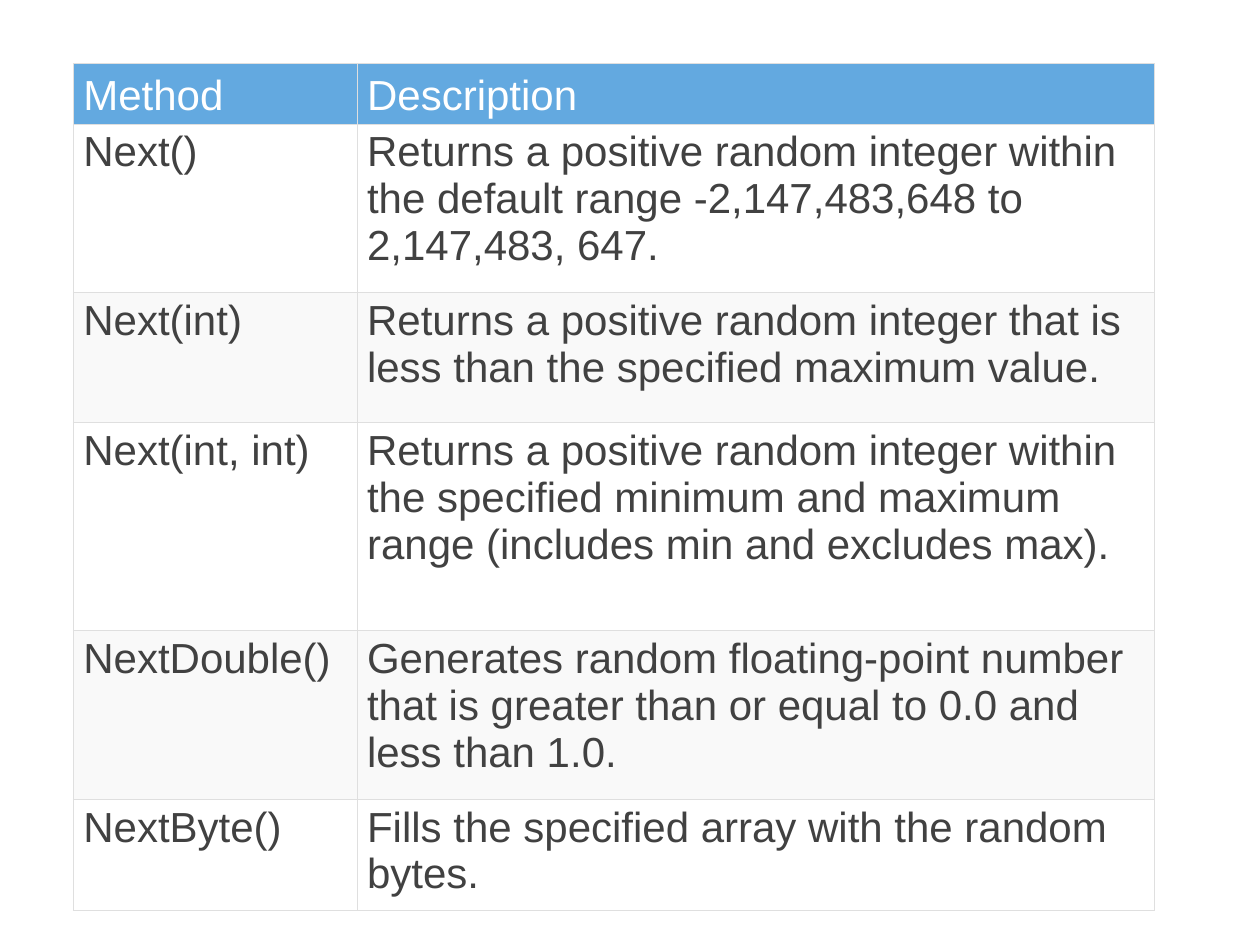
from dataclasses import dataclass

import pptx
import pptx.dml.color
import pptx.enum.text
import pptx.oxml
import pptx.oxml.ns
import pptx.util

Cm = pptx.util.Cm
Anchor = pptx.enum.text.MSO_ANCHOR

HEADER_FILL = "63A9E0"
HEADER_TEXT = "FFFFFF"
BODY_FILLS = ("FFFFFF", "F9F9F9")
BODY_TEXT = "414141"
BORDER = "DFDFDF"
BORDER_PT = 0.6
COLUMN_WIDTHS = (5.72, 16.08)


@dataclass
class MethodRow:
    method: str
    description: str
    height: float  # cm


METHOD_ROWS = [
    MethodRow("Method", "Description", 1.22),
    MethodRow("Next()", "Returns a positive random integer within the default range "
              "-2,147,483,648 to 2,147,483, 647.", 3.4),
    MethodRow("Next(int)", "Returns a positive random integer that is less than "
              "the specified maximum value.", 2.62),
    MethodRow("Next(int, int)", "Returns a positive random integer within the specified "
              "minimum and maximum range (includes min and excludes max).", 4.19),
    MethodRow("NextDouble()", "Generates random floating-point number that is greater "
              "than or equal to 0.0 and less than 1.0.", 3.4),
    MethodRow("NextByte()", "Fills the specified array with the random bytes.", 2.24),
]


def rgb(value: str) -> pptx.dml.color.RGBColor:
    return pptx.dml.color.RGBColor.from_string(value)


def write_text(cell, text: str, *, color: str, size: float = 24,
               font: str = "Arial", anchor=Anchor.TOP) -> None:
    cell.vertical_anchor = anchor
    cell.margin_left = cell.margin_right = Cm(0.2)
    cell.margin_top = cell.margin_bottom = Cm(0.1)
    run = cell.text_frame.paragraphs[0].add_run()
    run.text = text
    run.font.name = font
    run.font.size = pptx.util.Pt(size)
    run.font.color.rgb = rgb(color)


def fill_cell(cell, color: str) -> None:
    cell.fill.solid()
    cell.fill.fore_color.rgb = rgb(color)


def draw_borders(cell, color: str, width: float) -> None:
    properties = cell._tc.get_or_add_tcPr()
    # Border lines must come before the fill
    for position, side in enumerate(("lnL", "lnR", "lnT", "lnB")):
        line = pptx.oxml.parse_xml(
            f'<a:{side} {pptx.oxml.ns.nsdecls("a")} w="{int(pptx.util.Pt(width))}">'
            f'<a:solidFill><a:srgbClr val="{color}"/></a:solidFill></a:{side}>')
        properties.insert(position, line)


def draw_method_table(slide, rows: list[MethodRow], left: float, top: float) -> None:
    methods = slide.shapes.add_table(
        len(rows), len(COLUMN_WIDTHS), Cm(left), Cm(top),
        Cm(sum(COLUMN_WIDTHS)), Cm(sum(row.height for row in rows))).table
    for column, width in zip(methods.columns, COLUMN_WIDTHS):
        column.width = Cm(width)
    for index, row in enumerate(rows):
        methods.rows[index].height = Cm(row.height)
        is_header = index == 0
        fill = HEADER_FILL if is_header else BODY_FILLS[(index - 1) % 2]
        for cell, text in zip(methods.rows[index].cells, (row.method, row.description)):
            write_text(cell, text, color=HEADER_TEXT if is_header else BODY_TEXT,
                       anchor=Anchor.BOTTOM if is_header else Anchor.TOP)
            fill_cell(cell, fill)
            draw_borders(cell, BORDER, BORDER_PT)


def main() -> None:
    presentation = pptx.Presentation()
    presentation.slide_width = Cm(25.4)
    presentation.slide_height = Cm(19.05)
    slide = presentation.slides.add_slide(presentation.slide_layouts[6])

    # Table of random number methods
    draw_method_table(slide, METHOD_ROWS, left=1.48, top=1.28)
    presentation.save("out.pptx")


if __name__ == "__main__":
    main()
